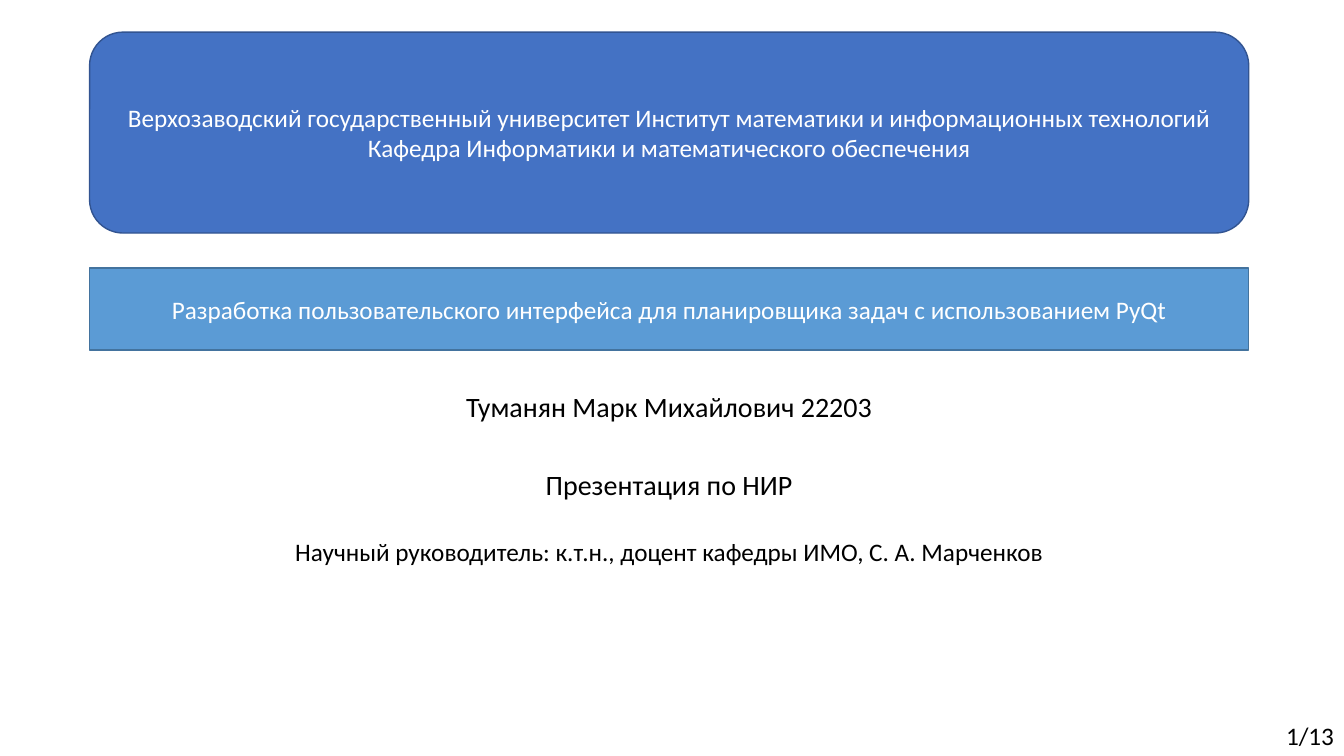
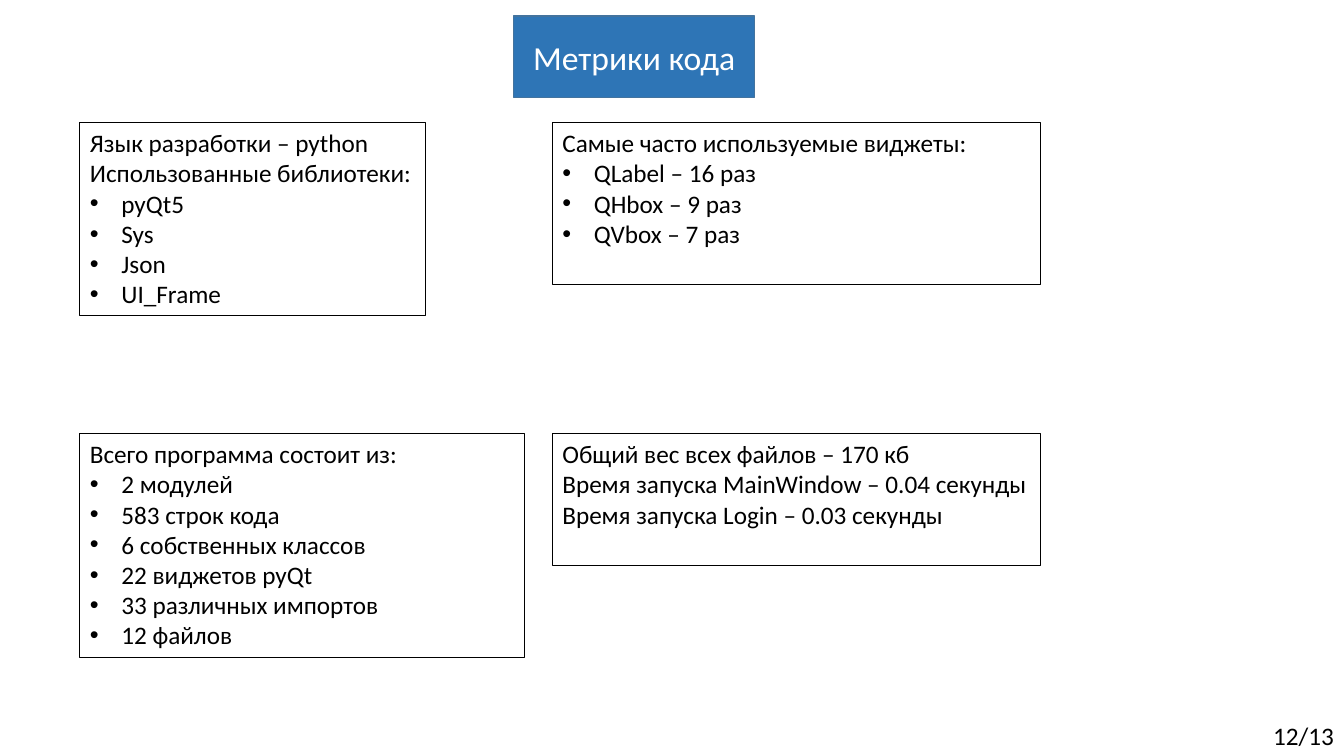
"""Build the opening and code-metrics slides of a student research talk."""
import dataclasses

import lxml.etree
import pptx
import pptx.dml.color
import pptx.enum.shapes
import pptx.enum.text
import pptx.oxml.ns
import pptx.util

Pt = pptx.util.Pt
RGB = pptx.dml.color.RGBColor.from_string
qn = pptx.oxml.ns.qn
ALIGN = pptx.enum.text.PP_ALIGN
ANCHOR = pptx.enum.text.MSO_ANCHOR


@dataclasses.dataclass(frozen=True)
class Theme:
    font: str = "Calibri"
    text: str = "000000"
    light: str = "FFFFFF"
    institute: str = "4472C4"
    institute_line: str = "325491"
    topic: str = "5B9BD5"
    heading: str = "2E75B6"
    title_line: str = "43739E"
    body_size: float = 18
    name_size: float = 20
    heading_size: float = 24
    indent: float = 22.5


T = Theme()
WIDTH, HEIGHT = 960, 540
PAGES = 13
MARGIN, CONTENT = 64, 828


def place(sp, left, top, width, height):
    sp.left, sp.top, sp.width, sp.height = map(Pt, (left, top, width, height))


def set_frame(sp, anchor=ANCHOR.TOP):
    tf = sp.text_frame
    tf.word_wrap = True
    tf.auto_size = pptx.enum.text.MSO_AUTO_SIZE.NONE
    tf.vertical_anchor = anchor
    return tf


def write(tf, text, size=T.body_size, color=T.text, align=ALIGN.LEFT, bullet=False):
    p = tf.add_paragraph() if tf.text else tf.paragraphs[0]
    p.alignment = align
    p.line_spacing = 1.0
    p.space_before = p.space_after = Pt(0)
    pPr = p._p.get_or_add_pPr()
    indent = Pt(T.indent) if bullet else 0
    pPr.set("marL", str(indent))
    pPr.set("indent", str(-indent))
    if bullet:
        lxml.etree.SubElement(pPr, qn("a:buFont")).set("typeface", "Arial")
        lxml.etree.SubElement(pPr, qn("a:buChar")).set("char", "•")
    else:
        lxml.etree.SubElement(pPr, qn("a:buNone"))
    r = p.add_run()
    r.text = text
    r.font.name = T.font
    r.font.size = Pt(size)
    r.font.bold = False
    r.font.color.rgb = RGB(color)


def style_band(sp, text, fill, line, size=T.body_size):
    sp.shadow.inherit = False
    sp.fill.solid()
    sp.fill.fore_color.rgb = RGB(fill)
    sp.line.color.rgb = RGB(line)
    sp.line.width = Pt(1)
    write(set_frame(sp, ANCHOR.MIDDLE), text, size=size, color=T.light, align=ALIGN.CENTER)


def add_band(slide, box, text, fill, line):
    sp = slide.shapes.add_shape(
        pptx.enum.shapes.MSO_SHAPE.ROUNDED_RECTANGLE, *map(Pt, box))
    style_band(sp, text, fill, line)


def set_title(slide, box, text, fill, size=T.body_size):
    sp = slide.shapes.title
    place(sp, *box)
    geom = lxml.etree.SubElement(sp._element.spPr, qn("a:prstGeom"))
    geom.set("prst", "roundRect")
    lxml.etree.SubElement(geom, qn("a:avLst"))
    style_band(sp, text, fill, T.title_line, size)


def add_text(slide, box, text, **fmt):
    sp = slide.shapes.add_textbox(*map(Pt, box))
    write(set_frame(sp), text, **fmt)


def add_page_label(slide, number):
    width, height = 60, 29
    add_text(slide, (WIDTH - width, HEIGHT - height, width, height),
             f"{number}/{PAGES}", align=ALIGN.RIGHT)


def fill_panel(sp, box, lines, bullets=()):
    place(sp, *box)
    sp.line.color.rgb = RGB(T.text)
    sp.line.width = Pt(0.75)
    tf = set_frame(sp)
    for text in lines:
        write(tf, text)
    for text in bullets:
        write(tf, text, bullet=True)


def build_opening(prs):
    slide = prs.slides.add_slide(prs.slide_layouts[0])
    add_band(slide, (MARGIN, 23, CONTENT, 143.5),
             "Верхозаводский государственный университет Институт математики и "
             "информационных технологий Кафедра Информатики и математического обеспечения",
             T.institute, T.institute_line)
    set_title(slide, (MARGIN, 191.5, CONTENT, 58.5),
              "Разработка пользовательского интерфейса для планировщика задач "
              "с использованием PyQt", T.topic)
    author = slide.placeholders[1]
    place(author, MARGIN, 274.5, CONTENT, 31.5)
    write(set_frame(author), "Туманян Марк Михайлович 22203",
          size=T.name_size, align=ALIGN.CENTER)
    add_text(slide, (MARGIN, 330.5, CONTENT, 31.5), "Презентация по НИР",
             size=T.name_size, align=ALIGN.CENTER)
    add_text(slide, (MARGIN, 379.5, CONTENT, 29),
             "Научный руководитель: к.т.н., доцент кафедры ИМО, C. А. Марченков",
             align=ALIGN.CENTER)
    add_page_label(slide, 1)


def build_metrics(prs):
    slide = prs.slides.add_slide(prs.slide_layouts[4])
    set_title(slide, (367, 11.5, 172, 58), "Метрики кода", T.heading, T.heading_size)
    left, right, upper, lower = 57, 394.5, 87.5, 309.5
    panels = [
        ((left, upper, 247, 138),
         ["Язык разработки – python", "Использованные библиотеки:"],
         ["pyQt5", "Sys", "Json", "UI_Frame"]),
        ((left, lower, 317.5, 160),
         ["Всего программа состоит из:"],
         ["2 модулей", "583 строк кода", "6 собственных классов",
          "22 виджетов pyQt", "33 различных импортов", "12 файлов"]),
        ((right, upper, 349, 116),
         ["Самые часто используемые виджеты:"],
         ["QLabel – 16 раз", "QHbox – 9 раз", "QVbox – 7 раз"]),
        ((right, lower, 349, 94.5),
         ["Общий вес всех файлов – 170 кб",
          "Время запуска MainWindow – 0.04 секунды",
          "Время запуска Login – 0.03 секунды"], []),
    ]
    for idx, panel in enumerate(panels, start=1):
        fill_panel(slide.placeholders[idx], *panel)
    add_page_label(slide, 12)


def main():
    prs = pptx.Presentation()
    prs.slide_width, prs.slide_height = Pt(WIDTH), Pt(HEIGHT)
    build_opening(prs)
    build_metrics(prs)
    prs.save("out.pptx")


if __name__ == "__main__":
    main()
